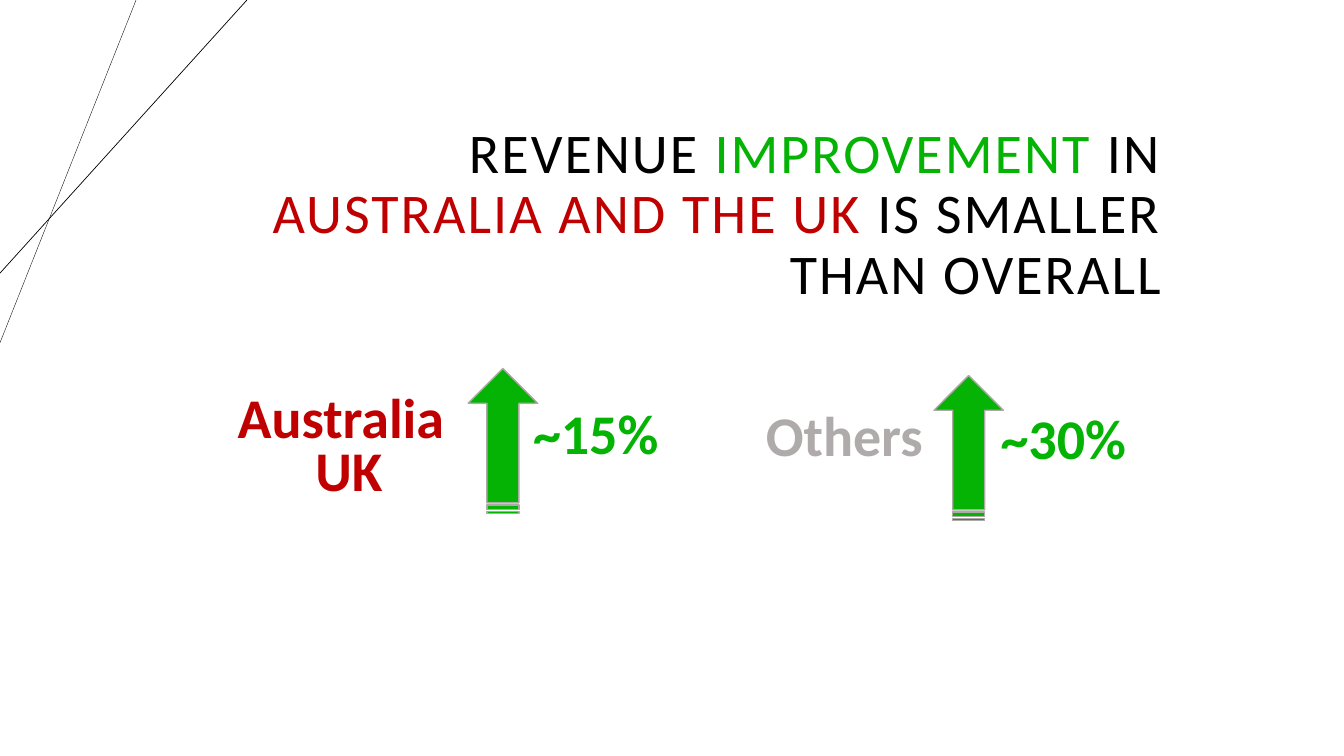
from lxml.etree import SubElement
from pptx import Presentation
from pptx.dml.color import RGBColor
from pptx.enum.shapes import MSO_CONNECTOR, MSO_SHAPE
from pptx.enum.text import MSO_ANCHOR, PP_ALIGN
from pptx.oxml.ns import qn
from pptx.util import Pt

BLACK, GREEN, RED, GRAY, OUTLINE = "000000", "05B305", "C00000", "AFABAB", "ACAAA5"


def rgb(hex_color):
    return RGBColor.from_string(hex_color)


def add_text(box, parts, paragraph_format, bold=False, tracking=None):
    """Add a one-paragraph text box; parts are (text, colour) pairs."""
    frame = slide.shapes.add_textbox(*map(Pt, box)).text_frame
    frame.word_wrap = True
    paragraph = frame.paragraphs[0]
    for name, value in paragraph_format.items():
        setattr(paragraph, name, value)
    for text, color in parts:
        run = paragraph.add_run()
        run.text = text
        for name, value in {"name": "Calibri", "size": Pt(40), "bold": bold}.items():
            setattr(run.font, name, value)
        run.font.color.rgb = rgb(color)
        if tracking:
            run.font._element.set("spc", str(tracking))
    return frame


prs = Presentation()
prs.slide_width, prs.slide_height = Pt(960), Pt(540)
slide = prs.slides.add_slide(prs.slide_layouts[6])

# Corner lines
for top_x, left_y, width in [(97.2, 244.8, 0.25), (176.4, 195.1, 0.5)]:
    corner_line = slide.shapes.add_connector(
        MSO_CONNECTOR.STRAIGHT, Pt(top_x), Pt(0), Pt(0), Pt(left_y))
    corner_line.line.color.rgb = rgb(BLACK)
    corner_line.line.width = Pt(width)
    SubElement(corner_line._element.spPr, qn("a:effectLst"))

# Title
title = add_text(
    (137.5, 74.2, 699.1, 159.8),
    [("REVENUE ", BLACK), ("IMPROVEMENT", GREEN), (" IN ", BLACK),
     ("AUSTRALIA AND THE UK ", RED), ("IS SMALLER THAN OVERALL", BLACK)],
    {"alignment": PP_ALIGN.RIGHT, "line_spacing": 0.9},
    tracking=150)
title.vertical_anchor = MSO_ANCHOR.MIDDLE

# Region names and their revenue growth
region_format = {"space_before": Pt(10)}
growth_format = {"space_before": Pt(10), "line_spacing": 0.9, "alignment": PP_ALIGN.CENTER}
for text, color, box, text_format in [
    ("Australia", RED, (162.7, 270, 226.8, 94.3), region_format),
    ("UK", RED, (218.2, 307.4, 132.5, 73.4), region_format),
    ("Others", GRAY, (540, 282.2, 155.5, 79.9), region_format),
    ("~15%", GREEN, (347.8, 286.6, 155.5, 74.9), growth_format),
    ("~30%", GREEN, (681.8, 290.2, 155.5, 74.9), growth_format),
]:
    add_text(box, [(text, color)], text_format, bold=True)

# Upward arrows
for left, top in [(307.4, 290.2), (640.1, 295.2)]:
    arrow = slide.shapes.add_shape(
        MSO_SHAPE.STRIPED_RIGHT_ARROW, Pt(left), Pt(top), Pt(103.7), Pt(49.7))
    arrow.rotation = 270
    arrow.adjustments[0] = 0.46
    arrow.adjustments[1] = 0.5
    arrow.shadow.inherit = False
    arrow.fill.solid()
    arrow.fill.fore_color.rgb = rgb(GREEN)
    arrow.line.color.rgb = rgb(OUTLINE)
    arrow.line.width = Pt(1)

prs.save("out.pptx")
